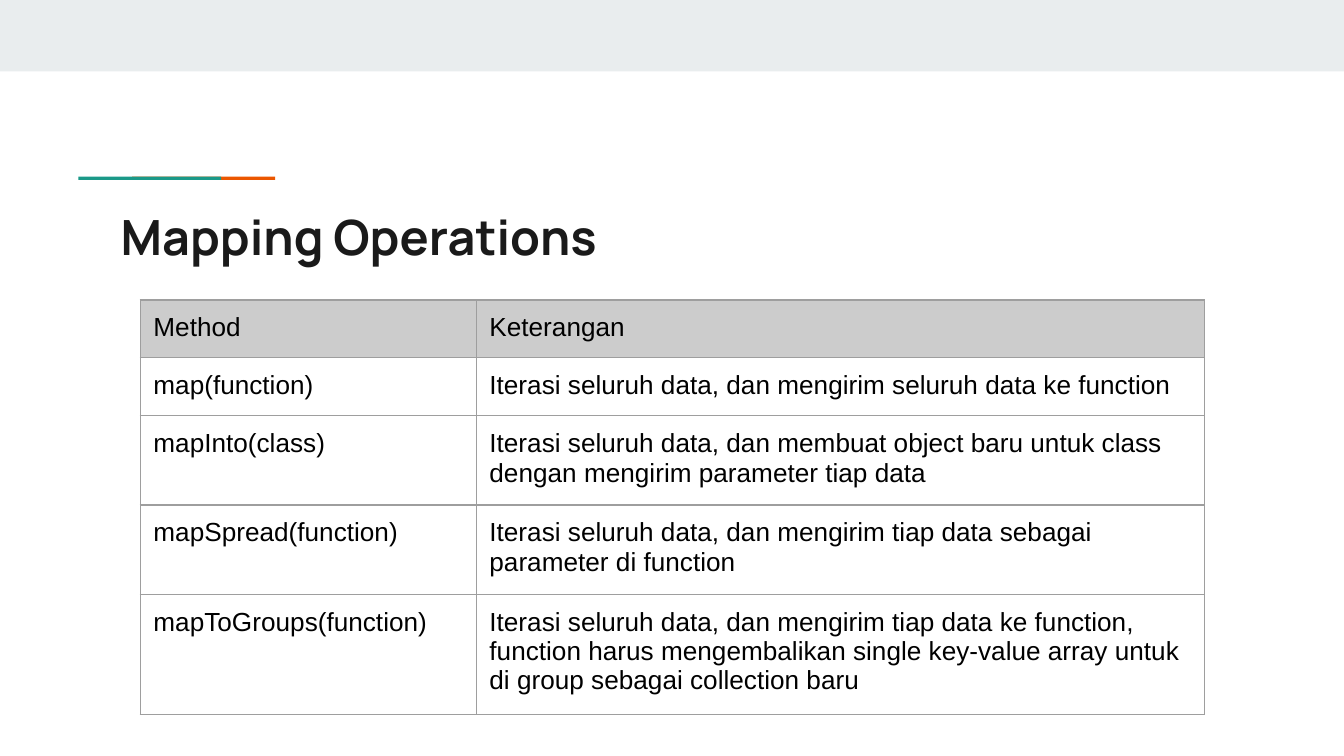
import pptx
import pptx.dml.color
import pptx.enum.shapes
import pptx.enum.text
import pptx.oxml.ns
import pptx.util
from lxml import etree
from pptx.util import Cm

COLOURS = {
    "band": "E9EDEE",
    "teal": "1A9988",
    "orange": "EB5600",
    "title": "1A1A1A",
    "text": "000000",
    "header": "CCCCCC",
    "border": "9E9E9E",
}
INSET = Cm(0.25)
ROW_HEIGHT = Cm(1.06)
COLUMN_WIDTHS = (Cm(6.35), Cm(13.77))
ROWS = [
    ("Method", "Keterangan"),
    ("map(function)", "Iterasi seluruh data, dan mengirim seluruh data ke function"),
    ("mapInto(class)",
     "Iterasi seluruh data, dan membuat object baru untuk class "
     "dengan mengirim parameter tiap data"),
    ("mapSpread(function)",
     "Iterasi seluruh data, dan mengirim tiap data sebagai parameter di function"),
    ("mapToGroups(function)",
     "Iterasi seluruh data, dan mengirim tiap data ke function, "
     "function harus mengembalikan single key-value array untuk "
     "di group sebagai collection baru"),
]


def colour(name):
    return pptx.dml.color.RGBColor.from_string(COLOURS[name])


def add_bar(page, left, top, width, height, fill):
    bar = page.shapes.add_shape(
        pptx.enum.shapes.MSO_SHAPE.RECTANGLE, left, top, width, height)
    bar.shadow.inherit = False
    bar.fill.solid()
    bar.fill.fore_color.rgb = colour(fill)
    bar.line.fill.background()


def set_insets(holder):
    holder.margin_left = holder.margin_right = INSET
    holder.margin_top = holder.margin_bottom = INSET


def format_text(text_frame, font_name, size, fill, bold=False):
    for para in text_frame.paragraphs:
        for span in para.runs:
            span.font.name = font_name
            span.font.size = pptx.util.Pt(size)
            span.font.bold = bold
            span.font.color.rgb = colour(fill)


def add_title(page, text):
    box = page.shapes.add_textbox(Cm(2.03), Cm(3.66), Cm(21.36), Cm(1.5))
    frame = box.text_frame
    frame.word_wrap = True
    frame.vertical_anchor = pptx.enum.text.MSO_ANCHOR.TOP
    set_insets(frame)
    frame.text = text
    format_text(frame, "Manrope", 26, "title", bold=True)


def add_borders(cell):
    # Border lines must come before the fill in the cell properties
    qn = pptx.oxml.ns.qn
    properties = cell._tc.get_or_add_tcPr()
    for index, side in enumerate(("lnL", "lnR", "lnT", "lnB")):
        line = etree.Element(qn("a:" + side), w=str(pptx.util.Pt(0.75)))
        solid = etree.SubElement(line, qn("a:solidFill"))
        etree.SubElement(solid, qn("a:srgbClr"), val=COLOURS["border"])
        properties.insert(index, line)


def add_method_table(page):
    table = page.shapes.add_table(
        len(ROWS), len(COLUMN_WIDTHS), Cm(2.65), Cm(5.67),
        sum(COLUMN_WIDTHS), ROW_HEIGHT * len(ROWS)).table
    table.horz_banding = False
    for column, width in zip(table.columns, COLUMN_WIDTHS):
        column.width = width
    for row_index, texts in enumerate(ROWS):
        for column_index, text in enumerate(texts):
            cell = table.cell(row_index, column_index)
            set_insets(cell)
            cell.text_frame.text = text
            format_text(cell.text_frame, "Arial", 14, "text")
            if row_index == 0:
                cell.fill.solid()
                cell.fill.fore_color.rgb = colour("header")
            else:
                cell.fill.background()
            add_borders(cell)


def main():
    deck = pptx.Presentation()
    deck.slide_width, deck.slide_height = Cm(25.4), Cm(14.29)
    page = deck.slides.add_slide(deck.slide_layouts[6])

    # Top band and the two-colour accent line
    add_bar(page, 0, 0, deck.slide_width, Cm(1.35), "band")
    for left, fill in ((2.5, "orange"), (1.48, "teal")):
        add_bar(page, Cm(left), Cm(3.34), Cm(2.7), Cm(0.06), fill)

    # Title and table of methods
    add_title(page, "Mapping Operations")
    add_method_table(page)

    deck.save("out.pptx")


if __name__ == "__main__":
    main()
